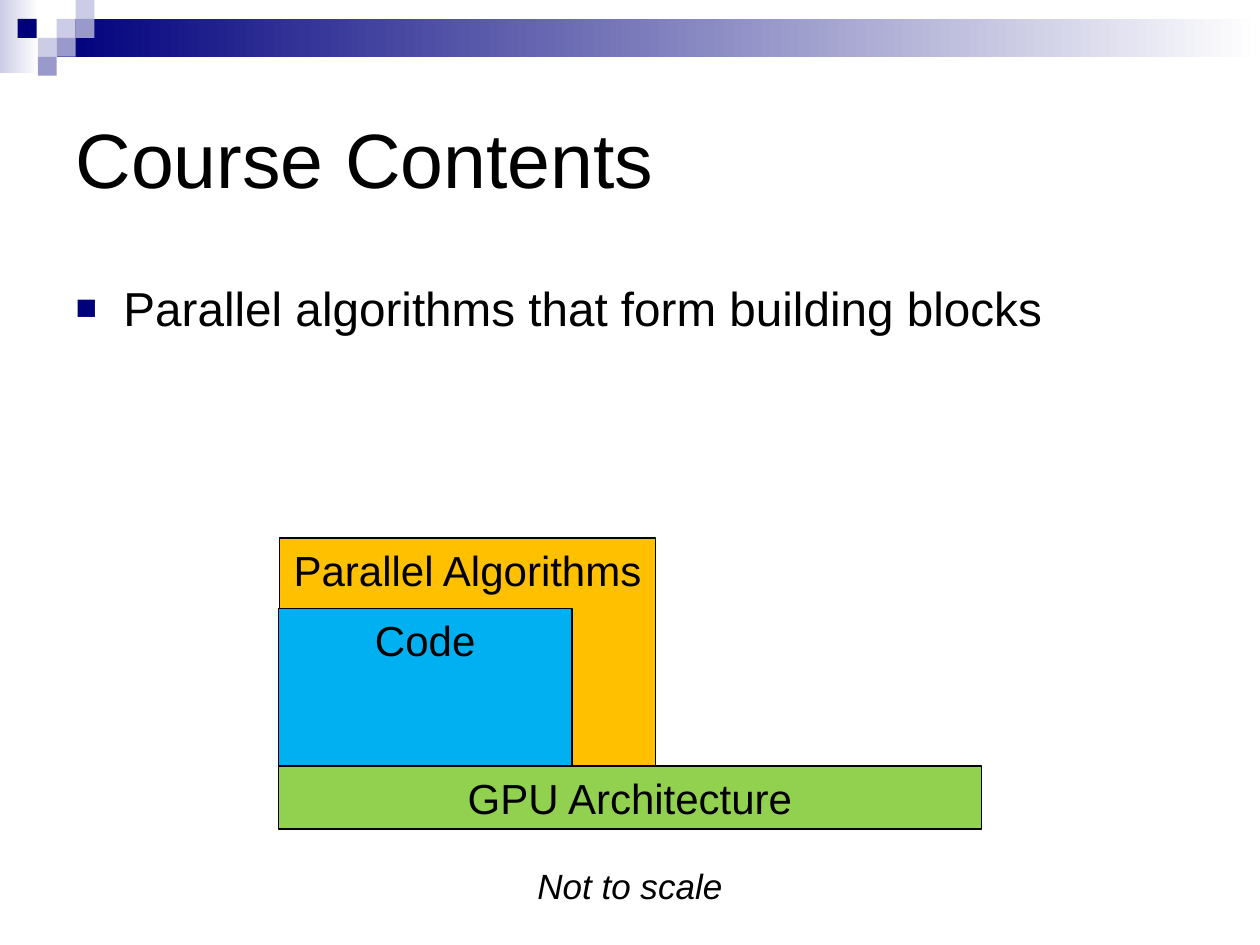
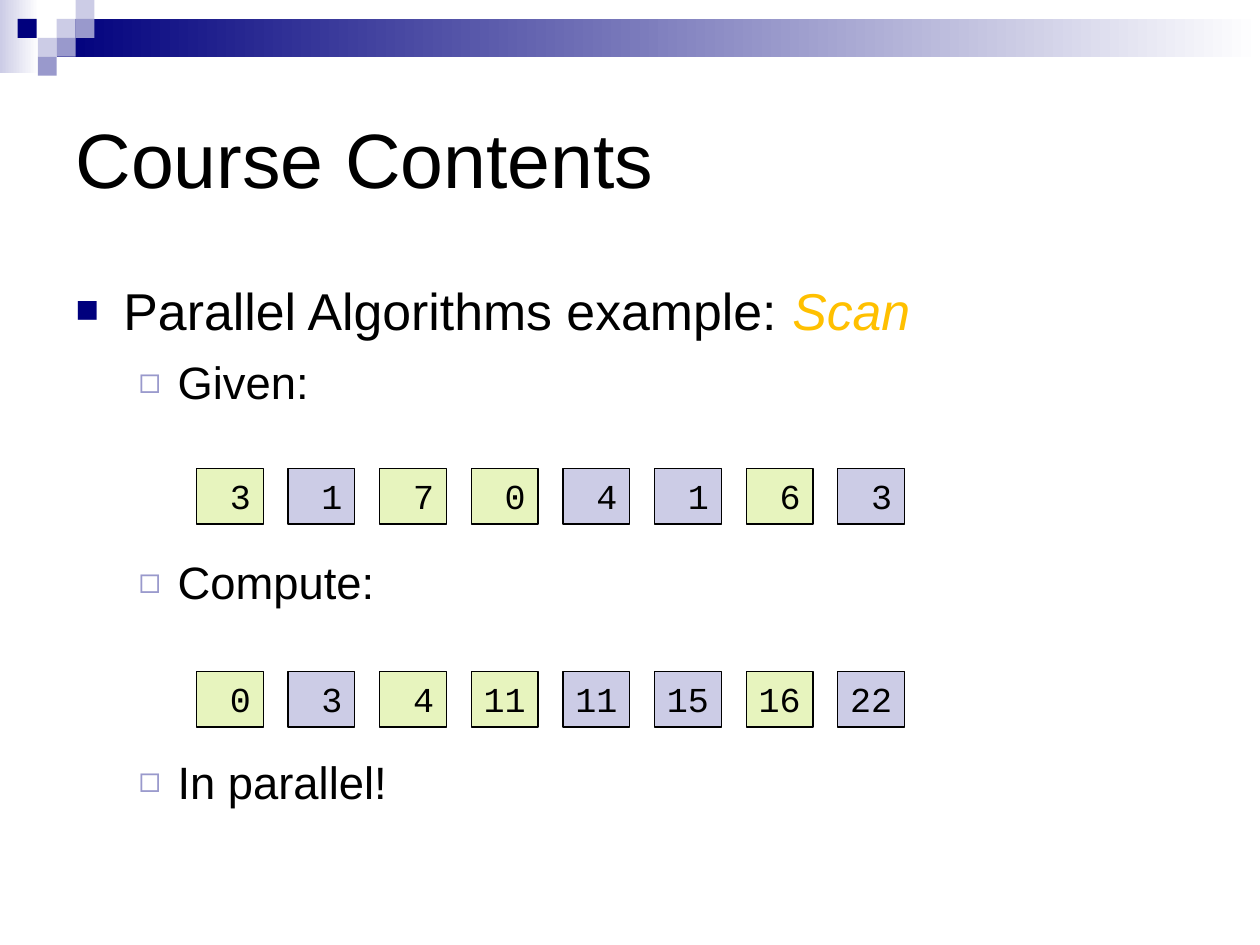
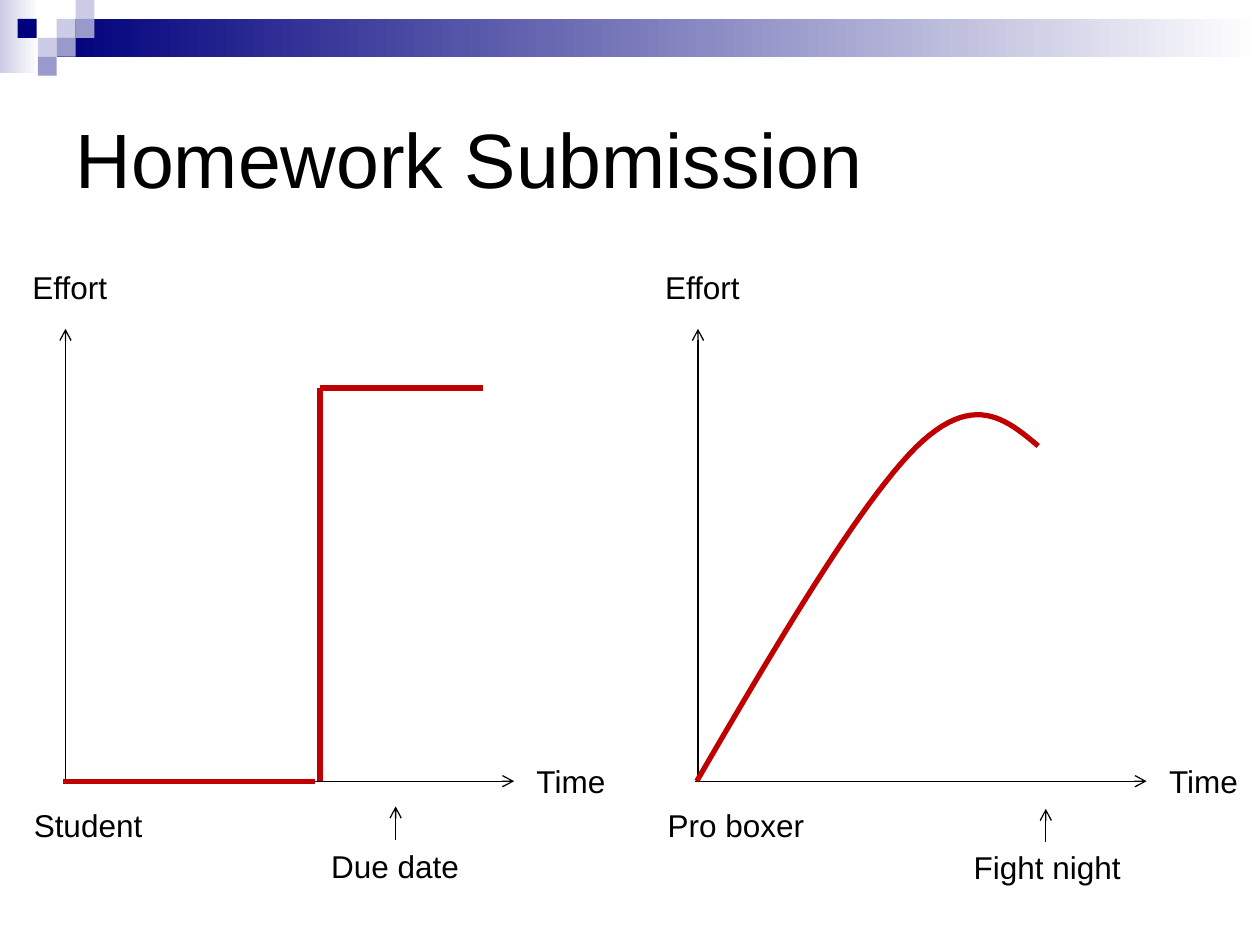
"""Build three course slides: building blocks, the scan example and homework effort."""
from dataclasses import dataclass

from lxml import etree
from pptx import Presentation
from pptx import util as u
from pptx.dml.color import RGBColor
from pptx.enum import shapes, text
from pptx.oxml.ns import qn


@dataclass(frozen=True)
class Theme:
    font: str = "Arial"
    code_font: str = "Courier New"
    ink: str = "000000"
    paper: str = "FFFFFF"
    navy: str = "00007D"
    lilac: str = "9999CC"
    pale: str = "CCCCE6"
    lime: str = "E7F4BE"
    amber: str = "FFC000"
    sky: str = "00B0F0"
    green: str = "92D050"
    red: str = "C00000"
    title_size: float = 44
    lead_size: float = 27.2
    topic_size: float = 29.6
    point_size: float = 25.9
    block_size: float = 24
    cell_size: float = 20
    note_size: float = 20
    label_size: float = 18
    thin: float = 0.75
    thick: float = 3


theme = Theme()


def add_span(para, words, size, font=theme.font, color=theme.ink, italic=False):
    """Append one formatted run to a paragraph."""
    span = para.add_run()
    span.text = words
    span.font.name = font
    span.font.size = u.Pt(size)
    span.font.italic = italic
    span.font.color.rgb = RGBColor.from_string(color)


def add_line(page, ends, color=theme.ink, width=theme.thin, arrow=True):
    """Draw a straight line, with an open arrowhead at its end if wanted."""
    line = page.shapes.add_connector(
        shapes.MSO_CONNECTOR.STRAIGHT, *[u.Inches(value) for value in ends])
    line.line.color.rgb = RGBColor.from_string(color)
    line.line.width = u.Pt(width)
    props = line.element.spPr
    if arrow:
        etree.SubElement(props.find(qn("a:ln")), qn("a:tailEnd"), type="arrow")
    etree.SubElement(props, qn("a:effectLst"))


deck = Presentation()
deck.slide_width, deck.slide_height = u.Inches(10), u.Inches(7.5)
master = deck.slide_master
content_layout, title_layout = deck.slide_layouts[1], deck.slide_layouts[5]
blocks_page = deck.slides.add_slide(content_layout)
scan_page = deck.slides.add_slide(content_layout)
effort_page = deck.slides.add_slide(title_layout)

band = [
    ((0, 0, 0.31, 0.58), theme.pale, True),
    ((0.45, 0.15, 9.55, 0.3), theme.navy, True),
]
tiles = [
    (0.45, 0.15, theme.pale), (0.6, 0, theme.pale), (0.6, 0.15, theme.lilac),
    (0.3, 0.3, theme.pale), (0.14, 0.15, theme.navy),
    (0.45, 0.3, theme.lilac), (0.3, 0.45, theme.lilac),
]
band += [((left, top, 0.15, 0.15), color, False) for left, top, color in tiles]
for position, (area, color, fades) in enumerate(band):
    piece = blocks_page.shapes.add_shape(
        shapes.MSO_SHAPE.RECTANGLE, *[u.Inches(value) for value in area])
    piece.shadow.inherit = False
    piece.line.fill.background()
    if fades:
        piece.fill.gradient()
        piece.fill.gradient_angle = 0
        for stop, shade in zip(piece.fill.gradient_stops, (color, theme.paper)):
            stop.color.rgb = RGBColor.from_string(shade)
    else:
        piece.fill.solid()
        piece.fill.fore_color.rgb = RGBColor.from_string(color)
    master.shapes.element.insert(2 + position, piece.element)

titles = ["Course Contents", "Course Contents", "Homework Submission"]
for page, words in zip(deck.slides, titles):
    title = page.shapes.title
    title.left, title.top = u.Inches(0.5), u.Inches(0.5)
    title.width, title.height = u.Inches(9), u.Inches(1.5)
    title.text_frame.auto_size = text.MSO_AUTO_SIZE.NONE
    title.text_frame.vertical_anchor = text.MSO_ANCHOR.MIDDLE
    para = title.text_frame.paragraphs[0]
    para.alignment = text.PP_ALIGN.LEFT
    add_span(para, words, theme.title_size)

bullet_styles = [
    (0.38, -0.38, theme.navy, 75, "■"),
    (0.81, -0.31, theme.lilac, 80, "◻"),
]
lists = [
    (blocks_page, 0.58, [
        (0, 0, theme.lead_size,
         [("Parallel algorithms that form building blocks", theme.ink, False)]),
    ]),
    (scan_page, 4.25, [
        (0, 0, theme.topic_size, [("Parallel Algorithms example: ", theme.ink, False),
                                  ("Scan", theme.amber, True)]),
        (1, 8, theme.point_size, [("Given:", theme.ink, False)]),
        (1, 83, theme.point_size, [("Compute:", theme.ink, False)]),
        (1, 83, theme.point_size, [("In parallel!", theme.ink, False)]),
    ]),
]
for page, height, items in lists:
    body = page.placeholders[1]
    body.left, body.top = u.Inches(0.5), u.Inches(2.16)
    body.width, body.height = u.Inches(9), u.Inches(height)
    frame = body.text_frame
    frame.auto_size = text.MSO_AUTO_SIZE.NONE
    for number, (level, gap, size, spans) in enumerate(items):
        para = frame.add_paragraph() if number else frame.paragraphs[0]
        para.level = level
        margin, indent, color, percent, mark = bullet_styles[level]
        props = para._p.get_or_add_pPr()
        props.set("marL", str(u.Inches(margin)))
        props.set("indent", str(u.Inches(indent)))
        bullet_color = etree.SubElement(props, qn("a:buClr"))
        etree.SubElement(bullet_color, qn("a:srgbClr"), val=color)
        etree.SubElement(props, qn("a:buSzPct"), val=str(percent * 1000))
        etree.SubElement(props, qn("a:buFont"), typeface=theme.font)
        etree.SubElement(props, qn("a:buChar"), char=mark)
        para.space_before = u.Pt(gap)
        for words, ink, italic in spans:
            add_span(para, words, size, color=ink, italic=italic)

center, right = text.PP_ALIGN.CENTER, text.PP_ALIGN.RIGHT
block_style = (theme.block_size, theme.font, center)
cell_style = (theme.cell_size, theme.code_font, right)
boxes = [
    (blocks_page, (2.22, 4.27, 2.98, 2.1), theme.amber, "Parallel Algorithms", block_style),
    (blocks_page, (2.21, 4.83, 2.33, 1.3), theme.sky, "Code", block_style),
    (blocks_page, (2.21, 6.08, 5.58, 0.5), theme.green, "GPU Architecture", block_style),
]
cell_fills = [theme.lime, theme.pale, theme.lime, theme.lime,
              theme.pale, theme.pale, theme.lime, theme.pale]
cell_step = (6.65 - 1.56) / 7
for top, values in [(3.72, [3, 1, 7, 0, 4, 1, 6, 3]),
                    (5.33, [0, 3, 4, 11, 11, 15, 16, 22])]:
    for column, (value, fill) in enumerate(zip(values, cell_fills)):
        area = (1.56 + column * cell_step, top, 0.53, 0.44)
        boxes.append((scan_page, area, fill, str(value), cell_style))
for page, area, fill, words, (size, font, align) in boxes:
    box = page.shapes.add_shape(
        shapes.MSO_SHAPE.RECTANGLE, *[u.Inches(value) for value in area])
    box.shadow.inherit = False
    box.fill.solid()
    box.fill.fore_color.rgb = RGBColor.from_string(fill)
    box.line.color.rgb = RGBColor.from_string(theme.ink)
    box.line.width = u.Pt(theme.thin)
    frame = box.text_frame
    frame.word_wrap = True
    frame.margin_left = u.Inches(0.05)
    frame.vertical_anchor = text.MSO_ANCHOR.TOP
    if align == center:
        frame.margin_right = u.Inches(0.05)
    para = frame.paragraphs[0]
    para.alignment = align
    add_span(para, words, size, font)

labels = [
    (effort_page, (2.53, 6.67, 1.3, 0.4), "Due date"),
    (effort_page, (7.63, 6.68, 1.5, 0.4), "Fight night"),
    (effort_page, (0.17, 6.35, 1.1, 0.4), "Student"),
    (effort_page, (5.2, 6.35, 1.4, 0.4), "Pro boxer"),
    (blocks_page, (0, 6.81, 10, 0.44), "Not to scale"),
]
for shift in (0, 5.02):
    add_line(effort_page, (0.5 + shift, 6.2, 4.08 + shift, 6.2))
    add_line(effort_page, (0.52 + shift, 6.2, 0.52 + shift, 2.61))
    labels += [
        (effort_page, (4.16 + shift, 6, 0.8, 0.4), "Time"),
        (effort_page, (0.16 + shift, 2.08, 0.83, 0.4), "Effort"),
    ]
for page, area, words in labels:
    label = page.shapes.add_textbox(*[u.Inches(value) for value in area])
    label.text_frame.word_wrap = True
    para = label.text_frame.paragraphs[0]
    if page == blocks_page:
        para.alignment = center
        add_span(para, words, theme.note_size, italic=True)
    else:
        add_span(para, words, theme.label_size)

for marker in [(3.14, 6.67, 3.14, 6.4), (8.3, 6.68, 8.3, 6.42)]:
    add_line(effort_page, marker)
for step in [(0.5, 6.2, 2.5, 6.2), (2.54, 3.08, 3.83, 3.08), (2.54, 3.08, 2.54, 6.2)]:
    add_line(effort_page, step, theme.red, theme.thick, arrow=False)

boxer_curve = [
    [(5.53, 6.2), (6.17, 5.1), (6.82, 4), (7.27, 3.55)],
    [(7.27, 3.55), (7.72, 3.11), (7.98, 3.32), (8.24, 3.54)],
]
points = []
for controls in boxer_curve:
    for count in range(1, 25):
        t = count / 24
        weights = [(1 - t) ** 3, 3 * t * (1 - t) ** 2, 3 * t ** 2 * (1 - t), t ** 3]
        points.append(tuple(
            u.Inches(sum(weight * value for weight, value in zip(weights, axis)))
            for axis in zip(*controls)))
builder = effort_page.shapes.build_freeform(u.Inches(5.53), u.Inches(6.2))
builder.add_line_segments(points, close=False)
curve = builder.convert_to_shape()
curve.shadow.inherit = False
curve.fill.background()
curve.line.color.rgb = RGBColor.from_string(theme.red)
curve.line.width = u.Pt(theme.thick)

deck.save("out.pptx")
